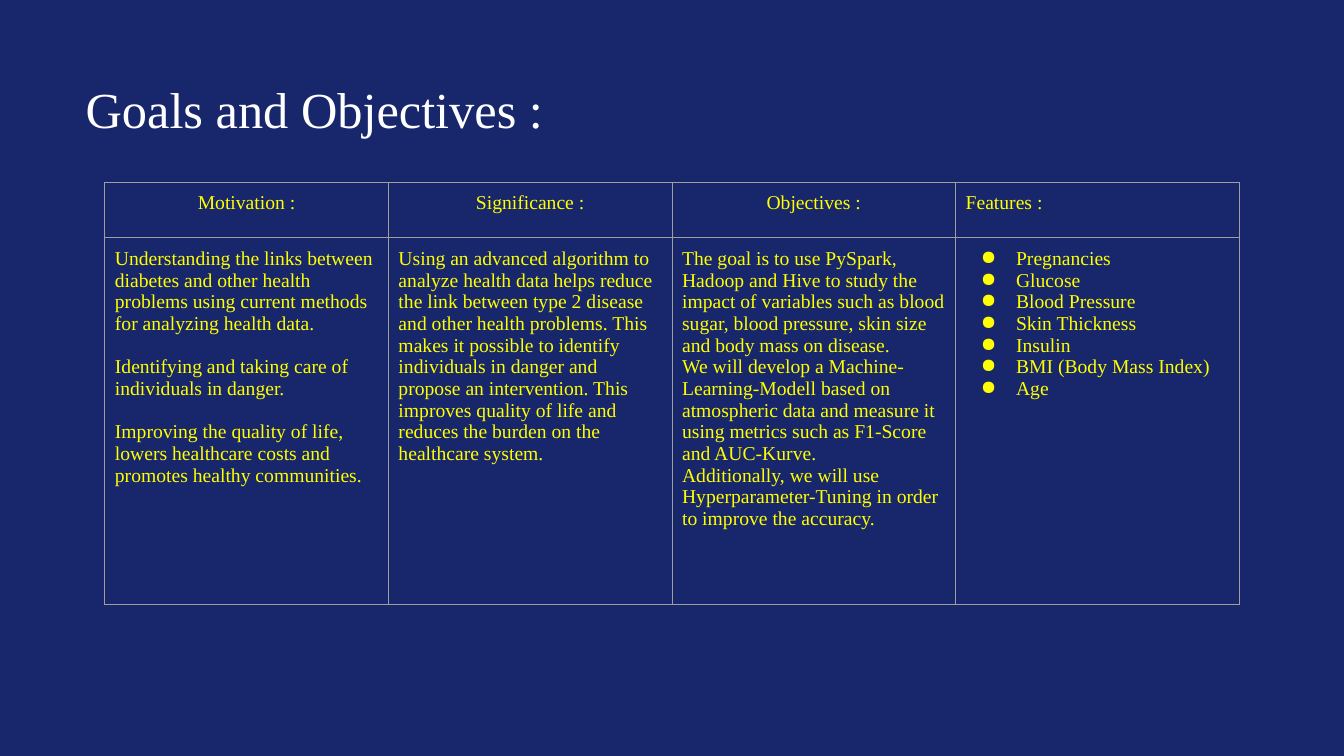
from lxml import etree
from pptx import Presentation, util as u
from pptx.dml.color import RGBColor
from pptx.enum import text
from pptx.oxml import ns

W, H = u.Inches(13.33), u.Inches(7.5)
MARGIN = 7.8
NAVY, WHITE, YELLOW, GREY = "18276C", "FFFFFF", "FFFF00", "9E9E9E"
FONT = "Times New Roman"
LINE_GAP = 15.5
COLUMNS = [
    ("Motivation :", dict(gap=LINE_GAP), [
        "Understanding the links between diabetes and other health problems using current "
        "methods for analyzing health data.",
        "Identifying and taking care of individuals in danger.",
        "Improving the quality of life, lowers healthcare costs and promotes healthy communities.",
    ]),
    ("Significance :", {}, [
        "Using an advanced algorithm to analyze health data helps reduce the link between type 2 "
        "disease and other health problems. This makes it possible to identify individuals in "
        "danger and propose an intervention. This improves quality of life and reduces the "
        "burden on the healthcare system.",
    ]),
    ("Objectives :", {}, [
        "The goal is to use PySpark, Hadoop and Hive to study the impact of variables such as "
        "blood sugar, blood pressure, skin size and body mass on disease.",
        "We will develop a Machine-Learning-Modell based on atmospheric data and measure it "
        "using metrics such as F1-Score and AUC-Kurve.",
        "Additionally, we will use Hyperparameter-Tuning in order to improve the accuracy.",
    ]),
    ("Features :", dict(bullet="●"), [
        "Pregnancies", "Glucose", "Blood Pressure", "Skin Thickness", "Insulin",
        "BMI (Body Mass Index)", "Age",
    ]),
]


def across(percent):
    """Return a share of the slide's width."""
    return round(W * percent / 100)


def down(percent):
    """Return a share of the slide's height."""
    return round(H * percent / 100)


def rgb(color):
    """Turn a hex string into a colour."""
    return RGBColor.from_string(color)


def add_bullet(p, char, color):
    """Give a paragraph a coloured bullet and a hanging indent."""
    pPr = p._p.get_or_add_pPr()
    pPr.set("marL", str(u.Inches(0.5)))
    pPr.set("indent", str(u.Inches(-0.35)))
    clr = etree.SubElement(pPr, ns.qn("a:buClr"))
    etree.SubElement(clr, ns.qn("a:srgbClr"), val=color)
    etree.SubElement(pPr, ns.qn("a:buChar"), char=char)


def write(tf, paragraphs, size=14, color=YELLOW, align=text.PP_ALIGN.LEFT, gap=0, bullet=None):
    """Fill a text frame with formatted paragraphs."""
    for i, line in enumerate(paragraphs):
        p = tf.add_paragraph() if i else tf.paragraphs[0]
        p.alignment = align
        if i and gap:
            p.space_before = u.Pt(gap)
        if bullet:
            add_bullet(p, bullet, color)
        r = p.add_run()
        r.text = line
        r.font.name, r.font.size = FONT, u.Pt(size)
        r.font.color.rgb = rgb(color)


def style_cell(cell):
    """Set a cell's borders, margins and empty fill."""
    tcPr = cell._tc.get_or_add_tcPr()
    for side in "LRTB":
        ln = etree.SubElement(tcPr, ns.qn(f"a:ln{side}"), w=str(u.Pt(0.75)))
        fill = etree.SubElement(ln, ns.qn("a:solidFill"))
        etree.SubElement(fill, ns.qn("a:srgbClr"), val=GREY)
    cell.fill.background()
    cell.margin_left = cell.margin_right = u.Inches(0.1)
    cell.margin_top = cell.margin_bottom = u.Inches(0.1)


def add_title(s, title):
    """Add the slide's heading."""
    sp = s.shapes.add_textbox(across(5.63), down(8.93), across(83.12), down(10.67))
    tf = sp.text_frame
    tf.word_wrap = True
    tf.vertical_anchor = text.MSO_ANCHOR.MIDDLE
    write(tf, [title], size=36, color=WHITE)


def add_goals_table(s):
    """Add the table with one column for each topic."""
    heights = [down(7.33), down(48.53)]
    width = across(100 - 2 * MARGIN)
    table = s.shapes.add_table(2, len(COLUMNS), across(MARGIN), down(24.13),
                               width, sum(heights)).table
    table.first_row = table.horz_banding = False
    for row, height in zip(table.rows, heights):
        row.height = height
    for col, (heading, style, body) in enumerate(COLUMNS):
        head, content = table.cell(0, col), table.cell(1, col)
        style_cell(head)
        style_cell(content)
        align = text.PP_ALIGN.LEFT if "bullet" in style else text.PP_ALIGN.CENTER
        write(head.text_frame, [heading], align=align)
        write(content.text_frame, body, **style)


def main():
    """Build and save the slide."""
    prs = Presentation()
    prs.slide_width, prs.slide_height = W, H
    s = prs.slides.add_slide(prs.slide_layouts[6])
    s.background.fill.solid()
    s.background.fill.fore_color.rgb = rgb(NAVY)
    add_title(s, "Goals and Objectives :")
    add_goals_table(s)
    prs.save("out.pptx")


if __name__ == "__main__":
    main()
